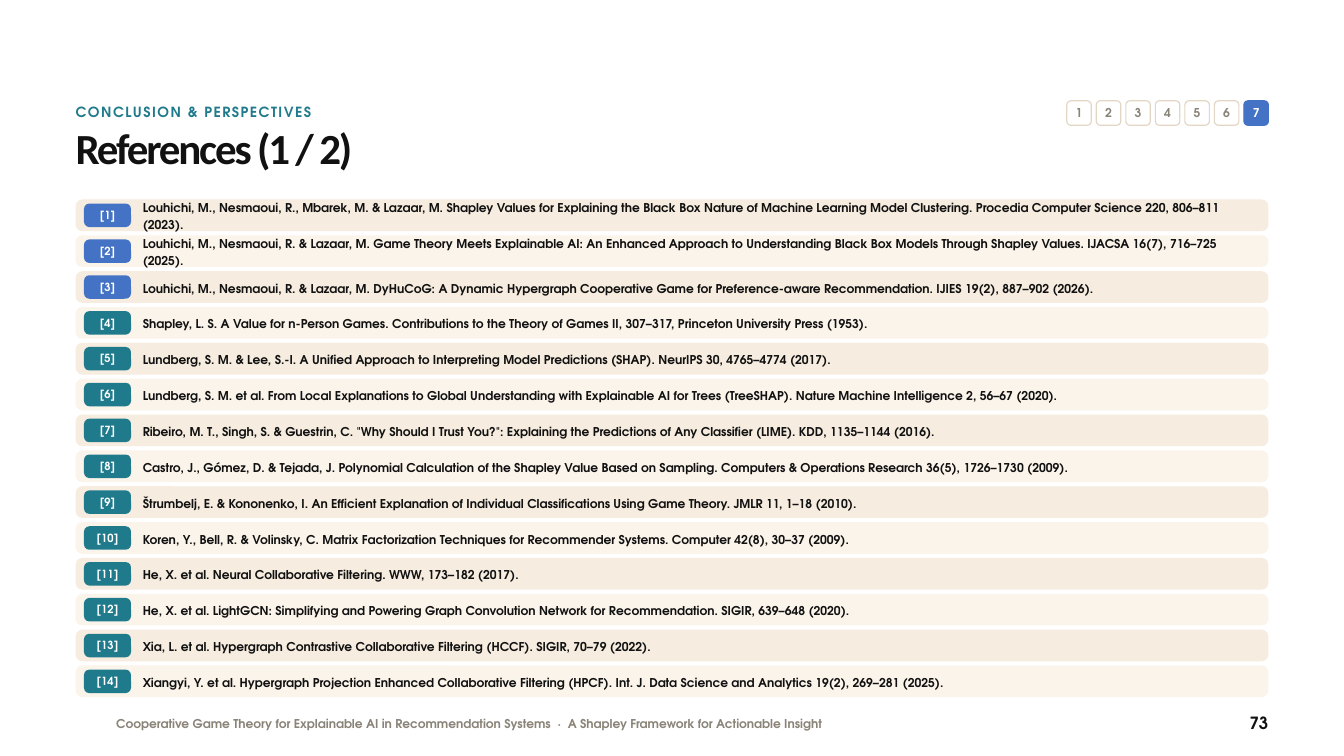
from dataclasses import dataclass

from pptx import Presentation
from pptx.dml.color import RGBColor
from pptx.enum.shapes import MSO_SHAPE
from pptx.enum.text import MSO_ANCHOR, MSO_AUTO_SIZE, PP_ALIGN
from pptx.util import Inches, Pt

ROUND = MSO_SHAPE.ROUNDED_RECTANGLE
TOP, MIDDLE = MSO_ANCHOR.TOP, MSO_ANCHOR.MIDDLE
LEFT, CENTER, RIGHT = PP_ALIGN.LEFT, PP_ALIGN.CENTER, PP_ALIGN.RIGHT
NO_FIT = MSO_AUTO_SIZE.NONE

COLS, ROWS = 160, 90
CELL = Inches(20) / COLS
TITLE_ONLY = 5


@dataclass(frozen=True)
class Theme:
    font: str = "TeX Gyre Adventor"
    head: str = "Calibri"
    ink: str = "111111"
    muted: str = "8A8378"
    white: str = "FFFFFF"
    blue: str = "4472C4"
    teal: str = "1F7A8C"
    edge: str = "E3D6C4"
    bands: tuple = ("F6ECDF", "FBF4EB")
    title: float = 46
    page: float = 18
    label: float = 15
    body: float = 13
    badge: float = 12


@dataclass(frozen=True)
class Box:
    """A rectangle in grid columns and rows."""
    x: float
    y: float
    w: float
    h: float

    def sub(self, x, y, w, h):
        return Box(self.x + x, self.y + y, w, h)

    def emu(self):
        return [round(n * CELL) for n in (self.x, self.y, self.w, self.h)]


THEME = Theme()
OWN = 3
SECTION, SECTIONS = 7, 7
REFS = [
    "Louhichi, M., Nesmaoui, R., Mbarek, M. & Lazaar, M. Shapley Values for Explaining the Black Box Nature of Machine Learning Model Clustering. Procedia Computer Science 220, 806–811 (2023).",
    "Louhichi, M., Nesmaoui, R. & Lazaar, M. Game Theory Meets Explainable AI: An Enhanced Approach to Understanding Black Box Models Through Shapley Values. IJACSA 16(7), 716–725 (2025).",
    "Louhichi, M., Nesmaoui, R. & Lazaar, M. DyHuCoG: A Dynamic Hypergraph Cooperative Game for Preference-aware Recommendation. IJIES 19(2), 887–902 (2026).",
    "Shapley, L. S. A Value for n-Person Games. Contributions to the Theory of Games II, 307–317, Princeton University Press (1953).",
    "Lundberg, S. M. & Lee, S.-I. A Unified Approach to Interpreting Model Predictions (SHAP). NeurIPS 30, 4765–4774 (2017).",
    "Lundberg, S. M. et al. From Local Explanations to Global Understanding with Explainable AI for Trees (TreeSHAP). Nature Machine Intelligence 2, 56–67 (2020).",
    'Ribeiro, M. T., Singh, S. & Guestrin, C. "Why Should I Trust You?": Explaining the Predictions of Any Classifier (LIME). KDD, 1135–1144 (2016).',
    "Castro, J., Gómez, D. & Tejada, J. Polynomial Calculation of the Shapley Value Based on Sampling. Computers & Operations Research 36(5), 1726–1730 (2009).",
    "Štrumbelj, E. & Kononenko, I. An Efficient Explanation of Individual Classifications Using Game Theory. JMLR 11, 1–18 (2010).",
    "Koren, Y., Bell, R. & Volinsky, C. Matrix Factorization Techniques for Recommender Systems. Computer 42(8), 30–37 (2009).",
    "He, X. et al. Neural Collaborative Filtering. WWW, 173–182 (2017).",
    "He, X. et al. LightGCN: Simplifying and Powering Graph Convolution Network for Recommendation. SIGIR, 639–648 (2020).",
    "Xia, L. et al. Hypergraph Contrastive Collaborative Filtering (HCCF). SIGIR, 70–79 (2022).",
    "Xiangyi, Y. et al. Hypergraph Projection Enhanced Collaborative Filtering (HPCF). Int. J. Data Science and Analytics 19(2), 269–281 (2025).",
]


def rgb(code):
    return RGBColor.from_string(code)


def write(shape, text, size=THEME.body, color=THEME.ink, font=THEME.font,
          lead=16, align=LEFT, anchor=TOP, track=0):
    """Fill a shape with one formatted paragraph; track is in points."""
    frame = shape.text_frame
    frame.auto_size, frame.word_wrap = NO_FIT, True
    frame.vertical_anchor = anchor
    frame.margin_left = frame.margin_right = 0
    frame.margin_top = frame.margin_bottom = 0
    para = frame.paragraphs[0]
    para.alignment, para.line_spacing = align, Pt(lead)
    run = para.add_run()
    run.text = text
    run.font.name, run.font.size, run.font.bold = font, Pt(size), True
    run.font.color.rgb = rgb(color)
    if track:
        run.font._element.set("spc", str(round(track * 100)))


def label(slide, box, text, **style):
    write(slide.shapes.add_textbox(*box.emu()), text, **style)


def tile(slide, box, radius, fill, line=None):
    """Add a rounded panel whose corner radius is in grid cells."""
    shape = slide.shapes.add_shape(ROUND, *box.emu())
    shape.shadow.inherit = False
    shape.adjustments[0] = radius / min(box.w, box.h)
    shape.fill.solid()
    shape.fill.fore_color.rgb = rgb(fill)
    if line:
        shape.line.color.rgb = rgb(line)
        shape.line.width = Pt(1.25)
    else:
        shape.line.fill.background()
    return shape


def header(slide, box):
    label(slide, box.sub(0, 0.16, 113.2, 2.88), "CONCLUSION & PERSPECTIVES",
          size=THEME.label, color=THEME.teal, lead=20, track=1.6)
    title = slide.shapes.title
    title.left, title.top, title.width, title.height = box.sub(
        0, 3, box.w, 6.4).emu()
    write(title, "References (1 / 2)", size=THEME.title, font=THEME.head,
          lead=50.6, track=-2.3)


def steps(slide, box, gap=0.6):
    side = (box.w - gap * (SECTIONS - 1)) / SECTIONS
    for i in range(SECTIONS):
        now = i + 1 == SECTION
        shape = tile(slide, box.sub(i * (side + gap), 0, side, side), 0.48,
                     THEME.blue if now else THEME.white,
                     THEME.blue if now else THEME.edge)
        write(shape, str(i + 1), color=THEME.white if now else THEME.muted,
              lead=15, align=CENTER, anchor=MIDDLE)


def entry(slide, box, num, text):
    tile(slide, box, 0.8, THEME.bands[(num - 1) % 2])
    high = 2.8
    badge = tile(slide, box.sub(1, (box.h - high) / 2, 5.6, high), 0.64,
                 THEME.blue if num <= OWN else THEME.teal)
    write(badge, f"[{num}]", size=THEME.badge, color=THEME.white, lead=13.8,
          align=CENTER, anchor=MIDDLE)
    label(slide, box.sub(8, 0, box.w - 9.2, box.h), text, lead=18.2,
          anchor=MIDDLE)


def listing(slide, box, gap=0.5):
    high = (box.h - gap * (len(REFS) - 1)) / len(REFS)
    for i, text in enumerate(REFS):
        entry(slide, box.sub(0, i * (high + gap), box.w, high), i + 1, text)


def footer(slide, box):
    label(slide, box.sub(4.84, 0.48, 112, 2.4),
          "Cooperative Game Theory for Explainable AI in Recommendation "
          "Systems  ·  A Shapley Framework for Actionable Insight",
          color=THEME.muted)
    label(slide, box.sub(box.w - 9.6, 0, 9.6, box.h), "73", size=THEME.page,
          lead=22, align=RIGHT)


def main():
    deck = Presentation()
    deck.slide_width = round(COLS * CELL)
    deck.slide_height = round(ROWS * CELL)
    slide = deck.slides.add_slide(deck.slide_layouts[TITLE_ONLY])
    slide.background.fill.solid()
    slide.background.fill.fore_color.rgb = rgb(THEME.white)
    header(slide, Box(9, 12, 142, 9.4))
    steps(slide, Box(127, 12, 24, 2.9))
    listing(slide, Box(9, 23.75, 142, 59.25))
    footer(slide, Box(9, 84.8, 142, 2.88))
    deck.save("out.pptx")


if __name__ == "__main__":
    main()
